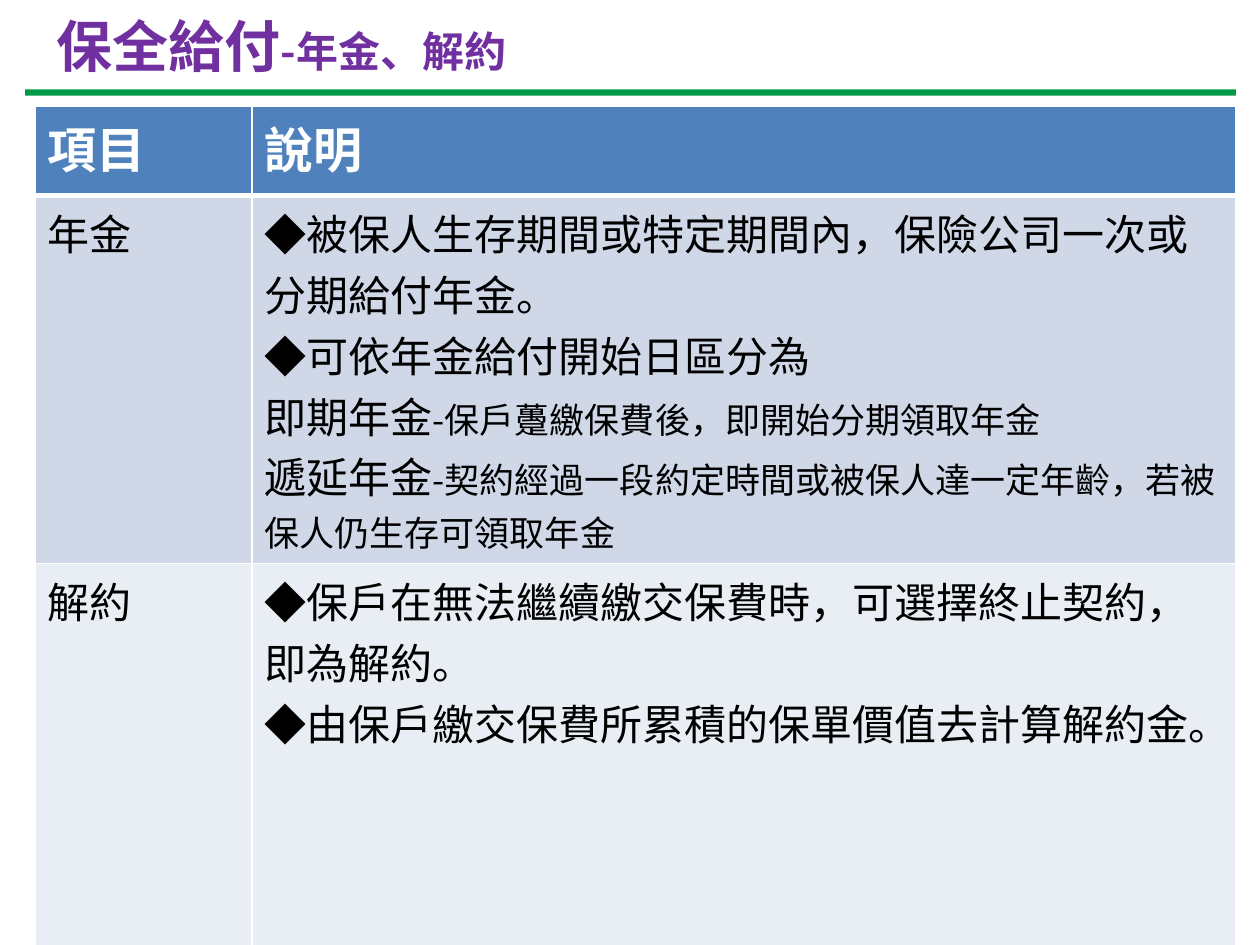
import pptx
import pptx.dml.color
import pptx.enum.shapes
import pptx.enum.text
import pptx.oxml
import pptx.oxml.ns
import pptx.util
from pptx.util import Inches

RGBColor = pptx.dml.color.RGBColor
PURPLE = RGBColor(0x70, 0x30, 0xA0)
GREEN = RGBColor(0x00, 0x9A, 0x46)
BLUE = RGBColor(0x4F, 0x81, 0xBD)
BAND_DARK = RGBColor(0xD0, 0xD8, 0xE8)
BAND_LIGHT = RGBColor(0xE9, 0xED, 0xF4)
WHITE = RGBColor(0xFF, 0xFF, 0xFF)
BLACK = RGBColor(0x00, 0x00, 0x00)
FONT = "Noto Sans CJK SC"
BULLET = "◆"

COL_WIDTHS = (1.72, 7.81)
ROW_HEIGHTS = (0.71, 2.52, 3.23)
# Each cell is a list of paragraphs; each paragraph is a list of (text, size).
ROWS = [
    [[[("項目", 28)]], [[("說明", 28)]]],
    [
        [[("年金", 24)]],
        [
            [(BULLET, 24), ("被保人生存期間或特定期間內，保險公司一次或分期給付年金。", 24)],
            [(BULLET, 24), ("可依年金給付開始日區分為", 24)],
            [("即期年金", 24), ("-保戶躉繳保費後，即開始分期領取年金", 20)],
            [("遞延年金", 24),
             ("-契約經過一段約定時間或被保人達一定年齡，若被保人仍生存可領取年金", 20)],
        ],
    ],
    [
        [[("解約", 24)]],
        [
            [(BULLET, 24), ("保戶在無法繼續繳交保費時，可選擇終止契約，即為解約。", 24)],
            [(BULLET, 24), ("由保戶繳交保費所累積的保單價值去計算解約金。", 24)],
        ],
    ],
]


def a_element(tag, **attrs):
    el = pptx.oxml.parse_xml(f"<a:{tag} {pptx.oxml.ns.nsdecls('a')}/>")
    for name, value in attrs.items():
        el.set(name, value)
    return el


def set_bullet(p):
    pPr = p._p.get_or_add_pPr()
    pPr.set("marL", "0")
    pPr.set("indent", "0")
    pPr.append(a_element("buFont", typeface=FONT))
    pPr.append(a_element("buChar", char=BULLET))


def add_run(p, text, size, color, bold):
    r = p.add_run()
    r.text = text
    r.font.size = pptx.util.Pt(size)
    r.font.bold = bold
    r.font.color.rgb = color
    r.font.name = FONT
    # Chinese characters take the East Asian typeface.
    r.font._element.append(a_element("ea", typeface=FONT))


def fill_paragraphs(tf, paragraphs, color, bold):
    for i, runs in enumerate(paragraphs):
        p = tf.paragraphs[0] if i == 0 else tf.add_paragraph()
        if runs[0][0] == BULLET:
            set_bullet(p)
            runs = runs[1:]
        for text, size in runs:
            add_run(p, text, size, color, bold)


def set_borders(cell, bottom):
    """Draw white cell borders, 1 pt except for the given bottom width."""
    tcPr = cell._tc.get_or_add_tcPr()
    for i, (side, width) in enumerate(zip("LRTB", (1, 1, 1, bottom))):
        ln = a_element(f"ln{side}", w=str(pptx.util.Pt(width)))
        fill = a_element("solidFill")
        fill.append(a_element("srgbClr", val=str(WHITE)))
        ln.append(fill)
        tcPr.insert(i, ln)


def add_title(slide):
    title = slide.shapes.title
    title.left, title.top = Inches(0.35), Inches(0.05)
    title.width, title.height = Inches(9.29), Inches(0.62)
    tf = title.text_frame
    tf.auto_size = pptx.enum.text.MSO_AUTO_SIZE.NONE
    tf.vertical_anchor = pptx.enum.text.MSO_ANCHOR.MIDDLE
    tf.paragraphs[0].alignment = pptx.enum.text.PP_ALIGN.LEFT
    fill_paragraphs(tf, [[("保全給付", 32), ("-年金、解約", 24)]], PURPLE, True)


def add_rule(slide):
    sp = slide.shapes.add_shape(
        pptx.enum.shapes.MSO_SHAPE.RECTANGLE,
        Inches(0.2), Inches(0.71), Inches(9.61), Inches(0.05))
    sp.shadow.inherit = False
    sp.fill.solid()
    sp.fill.fore_color.rgb = GREEN
    sp.line.fill.background()


def add_benefit_table(slide):
    table = slide.shapes.add_table(
        len(ROWS), len(COL_WIDTHS), Inches(0.28), Inches(0.84),
        Inches(sum(COL_WIDTHS)), Inches(sum(ROW_HEIGHTS))).table
    for column, width in zip(table.columns, COL_WIDTHS):
        column.width = Inches(width)
    for row, height in zip(table.rows, ROW_HEIGHTS):
        row.height = Inches(height)

    for i, (cells, fill) in enumerate(zip(ROWS, (BLUE, BAND_DARK, BAND_LIGHT))):
        header = i == 0
        for j, paragraphs in enumerate(cells):
            cell = table.cell(i, j)
            cell.fill.solid()
            cell.fill.fore_color.rgb = fill
            set_borders(cell, bottom=3 if header else 1)
            fill_paragraphs(cell.text_frame, paragraphs,
                            WHITE if header else BLACK, header)


def main():
    prs = pptx.Presentation()
    prs.slide_width, prs.slide_height = Inches(10), Inches(7.5)
    slide = prs.slides.add_slide(prs.slide_layouts[5])
    add_title(slide)
    add_rule(slide)
    add_benefit_table(slide)
    prs.save("out.pptx")


if __name__ == "__main__":
    main()
